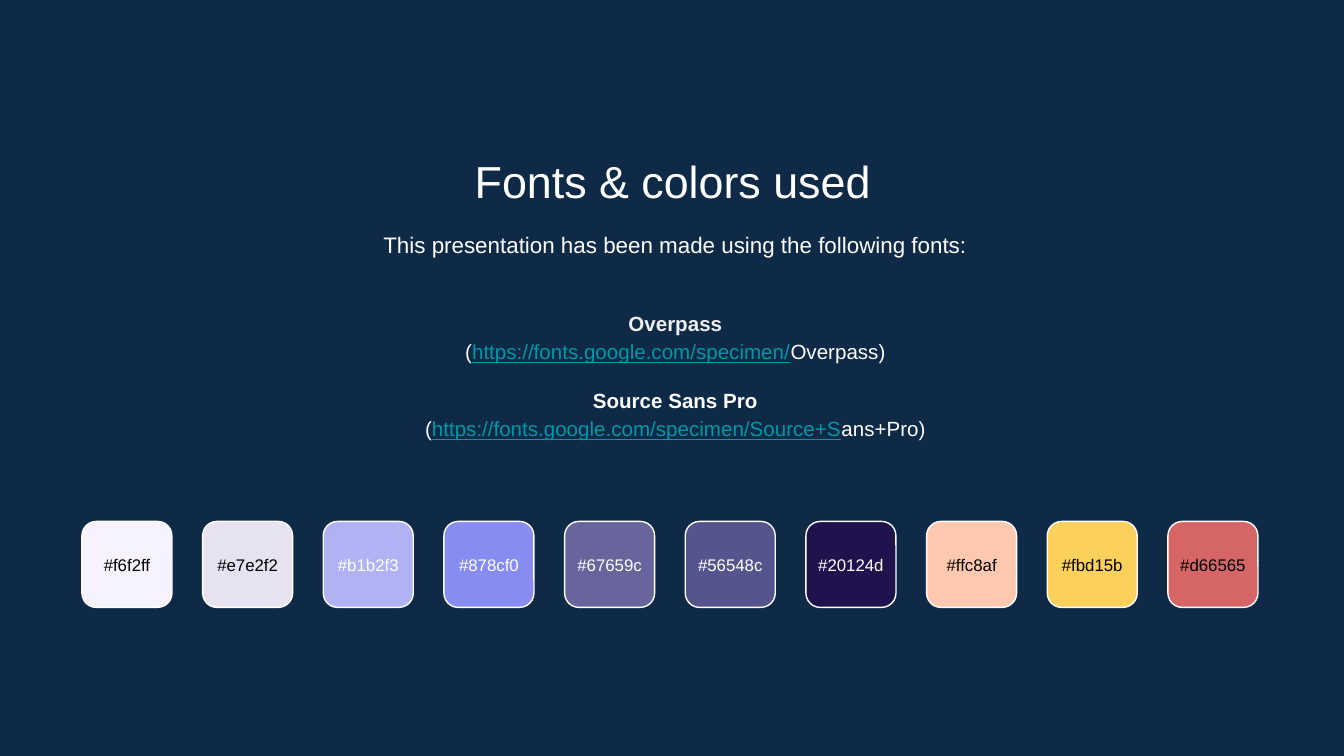
from pptx import Presentation
from pptx.dml.color import RGBColor
from pptx.enum import shapes, text
from pptx.util import Inches, Pt

COLORS = {"background": "0E2A47", "white": "FFFFFF", "black": "000000",
          "soft": "EFEFEF", "link": "0097A7"}

TITLE = "Fonts & colors used"
INTRO = "This presentation has been made using the following fonts:"
FONT_LINKS = [
    ("Overpass", "soft", "https://fonts.google.com/specimen/", "Overpass)"),
    ("Source Sans Pro", "white", "https://fonts.google.com/specimen/Source+S", "ans+Pro)"),
]
SWATCHES = [
    ("#f6f2ff", "black"), ("#e7e2f2", "black"), ("#b1b2f3", "white"),
    ("#878cf0", "white"), ("#67659c", "white"), ("#56548c", "white"),
    ("#20124d", "white"), ("#ffc8af", "black"), ("#fbd15b", "black"),
    ("#d66565", "black"),
]
FIRST_LEFT, LAST_LEFT = 0.61, 8.69
SWATCH_TOP, SWATCH_W, SWATCH_H = 3.88, 0.67, 0.64
LABEL_TOP, LABEL_W, LABEL_H = 4.02, 0.73, 0.37


def rgb(name):
    return RGBColor.from_string(COLORS[name])


def box(left, top, width, height):
    return [Inches(value) for value in (left, top, width, height)]


def add_run(paragraph, content, size=11, color="white", bold=False, underline=False):
    run = paragraph.add_run()
    run.text = content
    font = run.font
    font.name, font.size, font.bold, font.underline = "Arial", Pt(size), bold, underline
    font.color.rgb = rgb(color)


def write(holder, lines, middle=False, spacing=1.0):
    frame = holder.text_frame
    frame.word_wrap = True
    frame.auto_size = text.MSO_AUTO_SIZE.NONE
    frame.vertical_anchor = text.MSO_ANCHOR.MIDDLE if middle else text.MSO_ANCHOR.TOP
    frame.margin_left = frame.margin_right = Inches(0.1)
    frame.margin_top = frame.margin_bottom = Inches(0.1)
    for index, (before, runs) in enumerate(lines):
        paragraph = frame.add_paragraph() if index else frame.paragraphs[0]
        paragraph.alignment = text.PP_ALIGN.CENTER
        paragraph.line_spacing = spacing
        paragraph.space_before = Pt(before)
        for content, style in runs:
            add_run(paragraph, content, **style)


prs = Presentation()
prs.slide_width = Inches(10)
prs.slide_height = prs.slide_width * 9 // 16
slide = prs.slides.add_slide(prs.slide_layouts[5])
slide.background.fill.solid()
slide.background.fill.fore_color.rgb = rgb("background")

title = slide.shapes.title
title.left, title.top, title.width, title.height = box(1.15, 1.04, 7.71, 0.53)
write(title, [(0, [(TITLE, {"size": 24})])])

intro = slide.shapes.add_textbox(*box(1.17, 1.59, 7.71, 0.48))
write(intro, [(0, [(INTRO, {"size": 12})])], spacing=1.15)

link_lines = []
for name, color, link, ending in FONT_LINKS:
    link_lines.append((11 if link_lines else 0, [(name, {"color": color, "bold": True})]))
    link_lines.append((0, [("(", {}), (link, {"color": "link", "underline": True}), (ending, {})]))
font_links = slide.shapes.add_textbox(*box(1.17, 2.1, 7.71, 1.37))
write(font_links, link_lines, middle=True, spacing=1.15)

pitch = (LAST_LEFT - FIRST_LEFT) / (len(SWATCHES) - 1)
for index, (code, label_color) in enumerate(SWATCHES):
    left = FIRST_LEFT + index * pitch
    swatch = slide.shapes.add_shape(shapes.MSO_SHAPE.ROUNDED_RECTANGLE,
                                    *box(left, SWATCH_TOP, SWATCH_W, SWATCH_H))
    swatch.shadow.inherit = False
    swatch.fill.solid()
    swatch.fill.fore_color.rgb = RGBColor.from_string(code[1:].upper())
    swatch.line.color.rgb = rgb("white")
    swatch.line.width = Pt(0.75)
    label = slide.shapes.add_textbox(
        *box(left + (SWATCH_W - LABEL_W) / 2, LABEL_TOP, LABEL_W, LABEL_H))
    write(label, [(0, [(code, {"size": 9, "color": label_color})])], middle=True)

prs.save("out.pptx")
